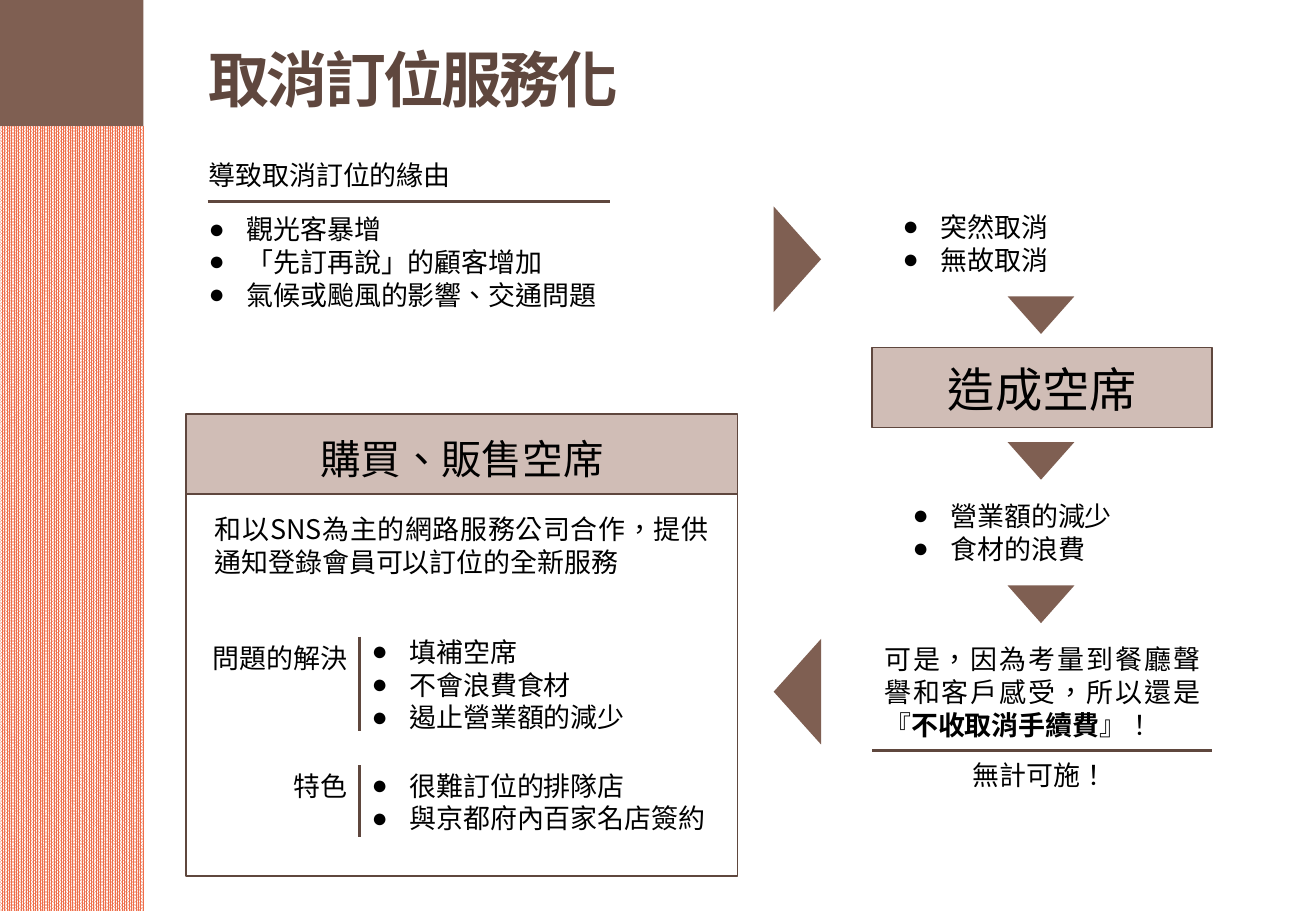
from lxml import etree
from pptx import Presentation
from pptx.dml.color import RGBColor
from pptx.enum.dml import MSO_PATTERN
from pptx.enum.shapes import MSO_CONNECTOR, MSO_SHAPE
from pptx.enum.text import PP_ALIGN
from pptx.oxml.ns import qn
from pptx.util import Pt

COLORS = {"brown": "7F5F52", "dark": "5F473E", "light": "D0BDB6",
          "orange": "EE6E4A", "white": "FFFFFF", "black": "000000"}
FONT = "Noto Sans CJK SC"
LINE_HEIGHT = 1.215
INDENT = 22.5


def rgb(name):
    """Return the named palette colour."""
    return RGBColor.from_string(COLORS[name])


def add_block(slide, box, fill=None, outline=False, kind=MSO_SHAPE.RECTANGLE, rotation=0):
    """Add a preset shape with an optional fill and dark outline."""
    shape = slide.shapes.add_shape(kind, *map(Pt, box))
    shape.shadow.inherit = False
    shape.rotation = rotation
    if fill:
        shape.fill.solid()
        shape.fill.fore_color.rgb = rgb(fill)
    else:
        shape.fill.background()
    if outline:
        shape.line.color.rgb = rgb("dark")
        shape.line.width = Pt(1)
    else:
        shape.line.fill.background()
    return shape


def add_triangle(slide, center, size, rotation):
    """Add a brown triangle turned around its centre."""
    (x, y), (w, h) = center, size
    add_block(slide, (x - w / 2, y - h / 2, w, h), "brown",
              kind=MSO_SHAPE.ISOSCELES_TRIANGLE, rotation=rotation)


def add_rule(slide, x1, y1, x2, y2):
    """Add a straight dark line."""
    line = slide.shapes.add_connector(MSO_CONNECTOR.STRAIGHT, *map(Pt, (x1, y1, x2, y2)))
    line.line.color.rgb = rgb("dark")
    line.line.width = Pt(1.5)
    etree.SubElement(line._element.spPr, qn("a:effectLst"))


def style_run(run, size, color, bold, spacing):
    """Set the font, language and letter spacing of a run."""
    run.font.size = Pt(size)
    run.font.bold = bold
    run.font.color.rgb = rgb(color)
    run.font.name = FONT
    props = run._r.get_or_add_rPr()
    props.set("lang", "zh-TW")
    if spacing:
        props.set("spc", str(int(spacing * 100)))
    etree.SubElement(props, qn("a:ea")).set("typeface", FONT)


def add_bullet(paragraph):
    """Give a paragraph a round bullet and a hanging indent."""
    props = paragraph._p.get_or_add_pPr()
    props.set("marL", str(Pt(INDENT)))
    props.set("indent", str(-Pt(INDENT)))
    etree.SubElement(props, qn("a:buFont")).set("typeface", "Arial")
    etree.SubElement(props, qn("a:buChar")).set("char", "●")


def add_text(slide, x, y, w, paragraphs, size=16, align=PP_ALIGN.JUSTIFY, rows=None,
             bullets=False, color="black", bold=False, spacing=0):
    """Add a text box whose bars toggle bold within a paragraph."""
    height = (rows or len(paragraphs)) * size * LINE_HEIGHT + 7.2
    frame = slide.shapes.add_textbox(*map(Pt, (x, y, w, height))).text_frame
    frame.word_wrap = True
    for i, content in enumerate(paragraphs):
        paragraph = frame.add_paragraph() if i else frame.paragraphs[0]
        paragraph.alignment = align
        paragraph.line_spacing = Pt(round(size * LINE_HEIGHT, 1))
        if bullets:
            add_bullet(paragraph)
        for j, part in enumerate(content.split("|")):
            run = paragraph.add_run()
            run.text = part
            style_run(run, size, color, bold or j % 2 == 1, spacing)


def draw_sidebar(slide, x, y, w, h):
    """Draw the brown corner above the patterned strip."""
    corner = 75
    add_block(slide, (x, y, w, corner), "brown")
    strip = add_block(slide, (x, y + corner, w, h - corner))
    strip.fill.patterned()
    strip.fill.pattern = MSO_PATTERN.PERCENT_90
    strip.fill.fore_color.rgb = rgb("orange")
    strip.fill.back_color.rgb = rgb("white")


def draw_causes(slide, x, y, w):
    """Draw the underlined heading and the list of causes."""
    add_text(slide, x, y, w, ["導致取消訂位的緣由"])
    add_rule(slide, x + 6.5, y + 29.5, x + 244.8, y + 29.5)
    add_text(slide, x, y + 32.4, w,
             ["觀光客暴增", "「先訂再說」的顧客增加", "氣候或颱風的影響、交通問題"], bullets=True)


def draw_effects(slide, x, y, w):
    """Draw the downward chain from cancellations to the dead end."""
    for center_y in (65.8, 152.2, 237.2):
        add_triangle(slide, (x + 100, y + center_y), (39.6, 22.3), 180)
    add_text(slide, x + 11, y, w - 22, ["突然取消", "無故取消"], bullets=True)
    add_block(slide, (x, y + 85, w, 47.5), "light", outline=True)
    add_text(slide, x + 11, y + 88.6, w - 22, ["造成空席"], 28, PP_ALIGN.CENTER)
    add_text(slide, x + 16.8, y + 171.4, w - 34, ["營業額的減少", "食材的浪費"], bullets=True)
    add_text(slide, x, y + 256.4, w,
             ["可是，因為考量到餐廳聲譽和客戶感受，所以還是『|不收取消手續費|』！"], rows=3)
    add_rule(slide, x, y + 324, x + w, y + 324)
    add_text(slide, x + 6.5, y + 324.8, w - 16, ["無計可施！"], align=PP_ALIGN.CENTER)


def draw_solution(slide, x, y, w, h):
    """Draw the framed panel with its header and two labelled lists."""
    header = 47.2
    add_block(slide, (x, y + header, w, h - header), outline=True)
    add_block(slide, (x, y, w, header), "light", outline=True)
    add_text(slide, x + 6.5, y + 8, w - 13, ["購買、販售空席"], 24, PP_ALIGN.CENTER)
    add_text(slide, x + 10, y + 54.7, w - 20,
             ["和以SNS為主的網路服務公司合作，提供通知登錄會員可以訂位的全新服務"], rows=2)
    divider = x + 102.9
    groups = [("問題的解決", 131, 127.5, 131.8, 56.2, ["填補空席", "不會浪費食材", "遏止營業額的減少"]),
              ("特色", 206.7, 206.7, 208.1, 42.5, ["很難訂位的排隊店", "與京都府內百家名店簽約"])]
    for label, label_y, list_y, rule_y, rule_h, items in groups:
        add_text(slide, divider - 108, y + label_y, 108, [label], align=PP_ALIGN.RIGHT)
        add_rule(slide, divider, y + rule_y, divider, y + rule_y + rule_h)
        add_text(slide, divider, y + list_y, 215, items, bullets=True)


def draw_slide(slide):
    """Place every region and the two arrows between the columns."""
    draw_sidebar(slide, 0, 0, 85, 540)
    add_text(slide, 116.6, 20.9, 546.5, ["取消訂位服務化"], 36, PP_ALIGN.LEFT,
             color="dark", bold=True, spacing=-1.5)
    draw_causes(slide, 116.6, 90, 258)
    draw_effects(slide, 517, 121, 201.6)
    draw_solution(slide, 110.2, 245.5, 327, 273.6)
    for center_y, rotation in ((153.7, 90), (410, 270)):
        add_triangle(slide, (472.6, center_y), (62.6, 28.1), rotation)


prs = Presentation()
prs.slide_width, prs.slide_height = Pt(780), Pt(540)
draw_slide(prs.slides.add_slide(prs.slide_layouts[6]))
prs.save("out.pptx")
